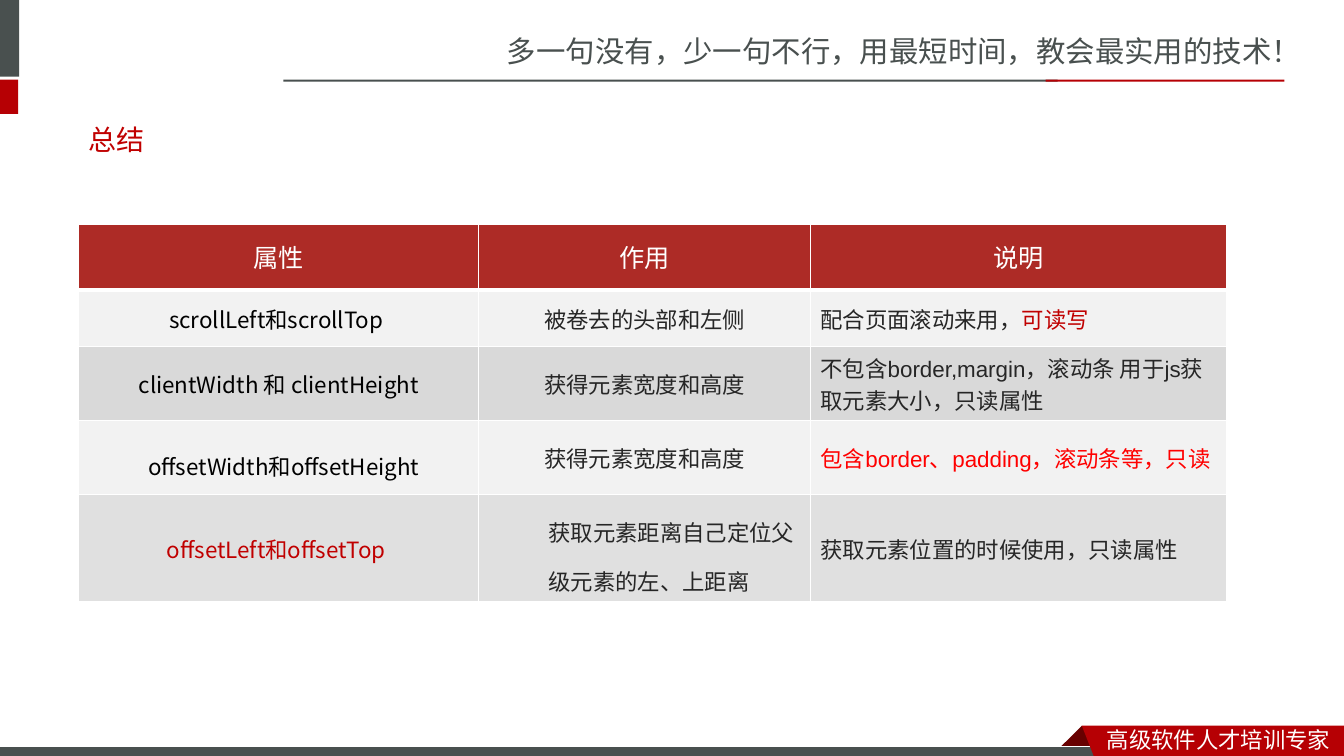
from lxml import etree
from pptx import Presentation, util as u
from pptx.dml.color import RGBColor
from pptx.enum import shapes, text
from pptx.oxml import ns

GREY, RED, WHITE = "49504F", "B60004", "FFFFFF"
INK, CRIMSON, BLACK = "262626", "C00000", "000000"
HEADER, PALE, MID = "AD2B26", "F2F2F2", "D9D9D9"
CJK, LATIN, CODE = "Noto Sans CJK SC", "Arial", "Noto Sans CJK JP"
LEFT, CENTER = text.PP_ALIGN.LEFT, text.PP_ALIGN.CENTER


def color(code):
    return RGBColor.from_string(code)


def add_span(para, words, size, font, code):
    span = para.add_run()
    span.text = words
    span.font.size = u.Pt(size)
    span.font.name = font
    span.font.color.rgb = color(code)
    east = etree.SubElement(span.font._element, ns.qn("a:ea"))
    east.set("typeface", CJK if font == LATIN else font)


def add_label(page, box, words, size, font, code, anchor=text.MSO_ANCHOR.TOP):
    label = page.shapes.add_textbox(*map(u.Inches, box))
    frame = label.text_frame
    frame.word_wrap = True
    frame.vertical_anchor = anchor
    add_span(frame.paragraphs[0], words, size, font, code)


def paint(shape, fill, line=None):
    shape.shadow.inherit = False
    shape.fill.solid()
    shape.fill.fore_color.rgb = color(fill)
    if line:
        shape.line.color.rgb = color(line)
        shape.line.width = u.Pt(0.75)
    else:
        shape.line.fill.background()


def add_bar(page, box, fill, line=None):
    kind = shapes.MSO_SHAPE.RECTANGLE
    paint(page.shapes.add_shape(kind, *map(u.Inches, box)), fill, line)


def add_outline(page, points, fill):
    # The builder rounds to whole units, so points are passed in EMU
    corners = [(u.Inches(x), u.Inches(y)) for x, y in points]
    builder = page.shapes.build_freeform(*corners[0])
    builder.add_line_segments(corners[1:], close=True)
    paint(builder.convert_to_shape(), fill)


def add_header(page, left, top, width):
    """Side blocks, slogan and the two-colour rule under it."""
    add_bar(page, (-0.06, 0, 0.25, 0.76), GREY)
    add_bar(page, (-0.06, top, 0.24, 0.34), RED)
    add_bar(page, (left, top, 7.68, 0.02), GREY)
    add_bar(page, (left + width - 2.37, top, 2.37, 0.02), RED)
    add_label(page, (4.93, 0.28, 8.41, 0.47),
              "多一句没有，少一句不行，用最短时间，教会最实用的技术！", 21, CJK, GREY)


def add_footer(page, left, top, right):
    """Grey strip and the folded red ribbon."""
    add_outline(page, [(left, top), (left + 0.22, top + 0.22), (left + 0.21, top + 0.23),
                       (left - 0.21, top + 0.23), (left - 0.22, top + 0.22)], "680000")
    add_bar(page, (-0.01, top + 0.21, 11, 0.12), GREY, WHITE)
    add_outline(page, [(left, top), (right, top), (right, top + 0.34),
                       (left + 0.13, top + 0.33)], RED)
    add_label(page, (left + 0.15, top - 0.05, 2.45, 0.37),
              "高级软件人才培训专家", 16, CJK, WHITE)


def add_borders(cell, widths):
    props = cell._tc.get_or_add_tcPr()
    for side, width in zip("LRTB", widths):
        edge = etree.SubElement(props, ns.qn("a:ln" + side), w=str(u.Pt(width)))
        solid = etree.SubElement(edge, ns.qn("a:solidFill"))
        etree.SubElement(solid, ns.qn("a:srgbClr"), val=WHITE)


def fill_cell(cell, fill, alpha=None):
    cell.fill.solid()
    cell.fill.fore_color.rgb = color(fill)
    if alpha:
        tint = next(cell._tc.tcPr.find(ns.qn("a:solidFill")).iterchildren())
        etree.SubElement(tint, ns.qn("a:alpha"), val=str(alpha * 1000))


def style_para(para, layout):
    if layout == "indented":
        para.level = 1
        para.line_spacing = 1.5
        para.space_before = u.Pt(3.2)
        props = para._p.get_or_add_pPr()
        props.set("marL", str(u.Inches(0.59)))
        props.set("indent", "0")
    else:
        para.alignment = layout


# Each cell: layout, then spans of (words, font, colour)
def code_cell(words, code=BLACK, layout=CENTER):
    return layout, [(words, CODE, code)]


def text_cell(words, layout=LEFT, code=INK):
    return layout, [(words, LATIN, code)]


HEADINGS = [text_cell(words, CENTER, WHITE) for words in ("属性", "作用", "说明")]
SIZE_USE = text_cell("获得元素宽度和高度", CENTER)
# Each row: height, fill, opacity, cells
ROWS = [
    (0.65, HEADER, None, HEADINGS),
    (0.56, PALE, None, [
        code_cell("scrollLeft和scrollTop "),
        text_cell("被卷去的头部和左侧", CENTER),
        (LEFT, [("配合页面滚动来用，", LATIN, INK), ("可读写", LATIN, CRIMSON)])]),
    (0.73, MID, None, [
        code_cell("clientWidth 和 clientHeight"),
        SIZE_USE,
        text_cell("不包含border,margin，滚动条 用于js获取元素大小，只读属性")]),
    (0.74, PALE, None, [
        code_cell("offsetWidth和offsetHeight", layout="indented"),
        SIZE_USE,
        text_cell("包含border、padding，滚动条等，只读", code="FF0000")]),
    (1.06, MID, 80, [
        code_cell("offsetLeft和offsetTop ", CRIMSON),
        text_cell("获取元素距离自己定位父级元素的左、上距离", "indented"),
        text_cell("获取元素位置的时候使用，只读属性")]),
]


def add_summary_table(page, left, top, columns):
    """Red heading row over four rows of properties."""
    height = sum(row[0] for row in ROWS)
    box = map(u.Inches, (left, top, sum(columns), height))
    table = page.shapes.add_table(len(ROWS), len(columns), *box).table
    for column, width in zip(table.columns, columns):
        column.width = u.Inches(width)
    for index, (row_height, fill, alpha, cells) in enumerate(ROWS):
        is_head = index == 0
        table.rows[index].height = u.Inches(row_height)
        widths = (1, 1, 3 if index == 1 else 1, 3 if is_head else 1)
        for cell, (layout, spans) in zip(table.rows[index].cells, cells):
            add_borders(cell, widths)
            fill_cell(cell, fill, alpha)
            cell.vertical_anchor = text.MSO_ANCHOR.MIDDLE
            para = cell.text_frame.paragraphs[0]
            style_para(para, layout)
            if is_head:
                para.line_spacing = u.Pt(24)
            for words, font, code in spans:
                add_span(para, words, 18 if is_head else 16, font, code)


def main():
    deck = Presentation()
    deck.slide_width, deck.slide_height = u.Inches(13.33), u.Inches(7.5)
    page = deck.slides.add_slide(deck.slide_layouts[6])
    add_header(page, 2.81, 0.79, 9.93)
    add_footer(page, 10.73, 7.2, 13.33)
    add_label(page, (0.78, 1.1, 11.75, 0.57), "总结", 20, "Roboto", CRIMSON,
              text.MSO_ANCHOR.MIDDLE)
    add_summary_table(page, 0.78, 2.23, (3.97, 3.29, 4.13))
    deck.save("out.pptx")


if __name__ == "__main__":
    main()
